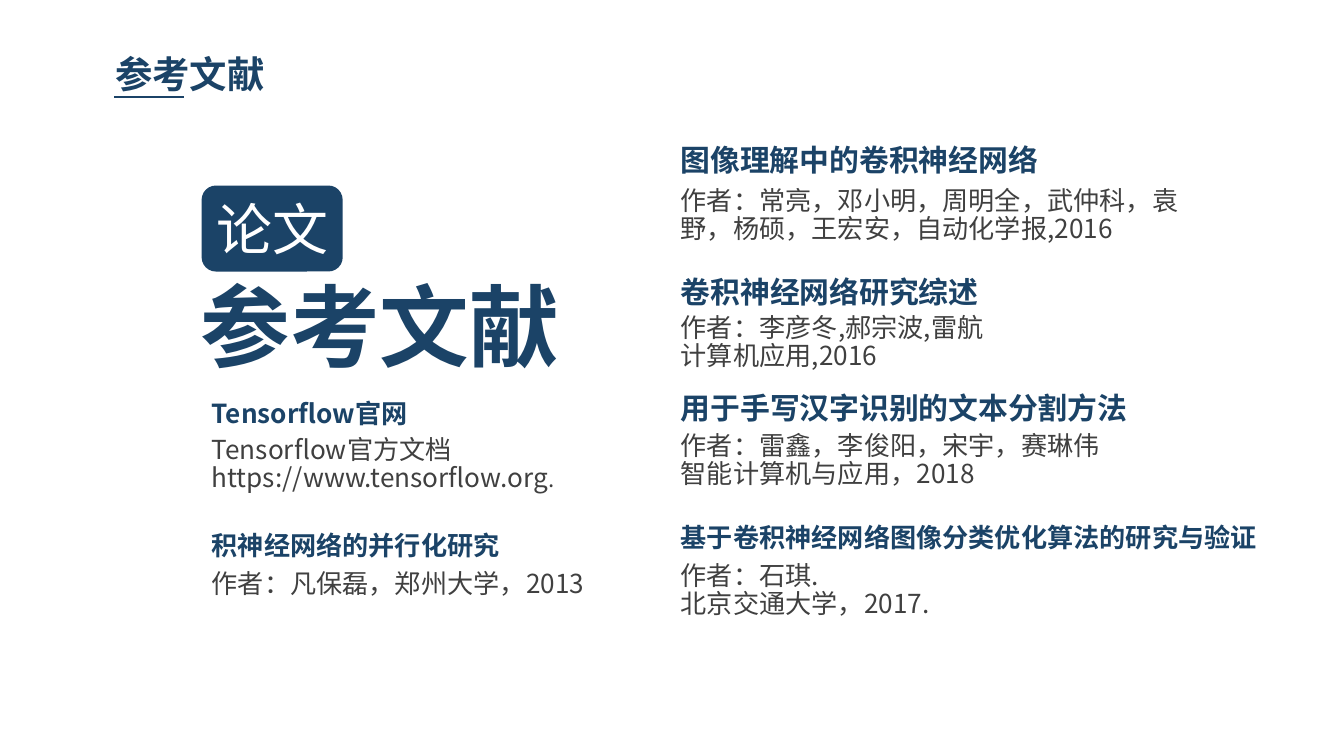
from dataclasses import dataclass
from lxml.etree import SubElement
from pptx import Presentation
from pptx.dml.color import RGBColor
from pptx.enum.shapes import MSO_CONNECTOR, MSO_SHAPE
from pptx.enum.text import MSO_ANCHOR, MSO_AUTO_SIZE, PP_ALIGN
from pptx.oxml.ns import qn
from pptx.util import Pt


@dataclass(frozen=True)
class Theme:
    font: str = "Noto Sans CJK SC"
    navy: RGBColor = RGBColor(0x1B, 0x43, 0x67)
    grey: RGBColor = RGBColor(0x40, 0x40, 0x40)
    white: RGBColor = RGBColor(0xFF, 0xFF, 0xFF)
    title: int = 20
    badge: int = 30
    headline: int = 48
    large: int = 16
    body: int = 14
    small: int = 12
    leading: int = 15


theme = Theme()


def add_run(paragraph, text, size, color, bold=False):
    run = paragraph.add_run()
    run.text = text
    run.font.name = theme.font
    run.font.size = Pt(size)
    run.font.bold = bold
    run.font.color.rgb = color
    SubElement(run.font._element, qn("a:ea")).set("typeface", theme.font)


def prepare(shape, wrap=True, anchor=MSO_ANCHOR.TOP, align=PP_ALIGN.LEFT):
    frame = shape.text_frame
    frame.margin_left = frame.margin_right = Pt(5.4)
    frame.margin_top = frame.margin_bottom = Pt(2.7)
    frame.word_wrap = wrap
    frame.auto_size = MSO_AUTO_SIZE.SHAPE_TO_FIT_TEXT
    frame.vertical_anchor = anchor
    frame.paragraphs[0].alignment = align
    return frame


deck = Presentation()
deck.slide_width, deck.slide_height = Pt(720), Pt(405)
slide = deck.slides.add_slide(deck.slide_layouts[5])
shapes = slide.shapes

title = shapes.title
title.left, title.top, title.width, title.height = Pt(56.2), Pt(24.5), Pt(177.8), Pt(29.5)
add_run(prepare(title).paragraphs[0], "参考文献", theme.title, theme.navy, True)

underline = shapes.add_connector(MSO_CONNECTOR.STRAIGHT, Pt(61.2), Pt(51.9), Pt(98.6), Pt(51.9))
underline.line.color.rgb = theme.navy
underline.line.width = Pt(0.75)
SubElement(underline._element.spPr, qn("a:effectLst"))

badge = shapes.add_shape(MSO_SHAPE.ROUNDED_RECTANGLE, Pt(108), Pt(99.4), Pt(75.6), Pt(46.1))
badge.shadow.inherit = False
badge.fill.solid()
badge.fill.fore_color.rgb = theme.navy
badge.line.fill.background()
badge_frame = prepare(badge, False, MSO_ANCHOR.MIDDLE, PP_ALIGN.CENTER)
add_run(badge_frame.paragraphs[0], "论文", theme.badge, theme.white)

headline = shapes.add_textbox(Pt(102.2), Pt(142.6), Pt(204.5), Pt(63.4))
add_run(prepare(headline, False).paragraphs[0], "参考文献", theme.headline, theme.navy, True)

left_column, right_column = 108, 359.3
narrow, wide = 236.9, 280.1
references = [
    (left_column, 210.2, 154.8, theme.body, "Tensorflow官网", 231.1, narrow,
     ["Tensorflow官方文档", "https://www.tensorflow.org"], "."),
    (left_column, 280.8, 176.4, theme.body, "积神经网络的并行化研究", 303.1, narrow,
     ["作者：凡保磊，郑州大学，2013"], ""),
    (right_column, 73.4, 247.7, theme.large, "图像理解中的卷积神经网络", 97.9, wide,
     ["作者：常亮，邓小明，周明全，武仲科，袁野，杨硕，王宏安，自动化学报,2016"], ""),
    (right_column, 144, 241.2, theme.large, "卷积神经网络研究综述", 164.2, narrow,
     ["作者：李彦冬,郝宗波,雷航", "计算机应用,2016"], ""),
    (right_column, 205.9, wide, theme.large, "用于手写汉字识别的文本分割方法", 229, narrow,
     ["作者：雷鑫，李俊阳，宋宇，赛琳伟", "智能计算机与应用，2018"], ""),
    (right_column, 276.5, 356.4, theme.body, "基于卷积神经网络图像分类优化算法的研究与验证", 298.8, narrow,
     ["作者：石琪.", "北京交通大学，2017."], ""),
]
natural_leading = "作者：李彦冬,郝宗波,雷航"

for left, top, width, size, work, detail_top, detail_width, details, ending in references:
    work_box = shapes.add_textbox(Pt(left), Pt(top), Pt(width), Pt(size * 1.2 + 5.4))
    add_run(prepare(work_box).paragraphs[0], work, size, theme.navy, True)

    line_count = 2 if detail_width == wide else len(details)
    detail_height = line_count * theme.leading + 5.4
    detail_box = shapes.add_textbox(Pt(left), Pt(detail_top), Pt(detail_width), Pt(detail_height))
    detail_frame = prepare(detail_box)
    for index, detail in enumerate(details):
        paragraph = detail_frame.add_paragraph() if index else detail_frame.paragraphs[0]
        if detail != natural_leading:
            paragraph.line_spacing = Pt(theme.leading)
        add_run(paragraph, detail, theme.body, theme.grey)
    if ending:
        add_run(paragraph, ending, theme.small, theme.grey)

deck.save("out.pptx")
